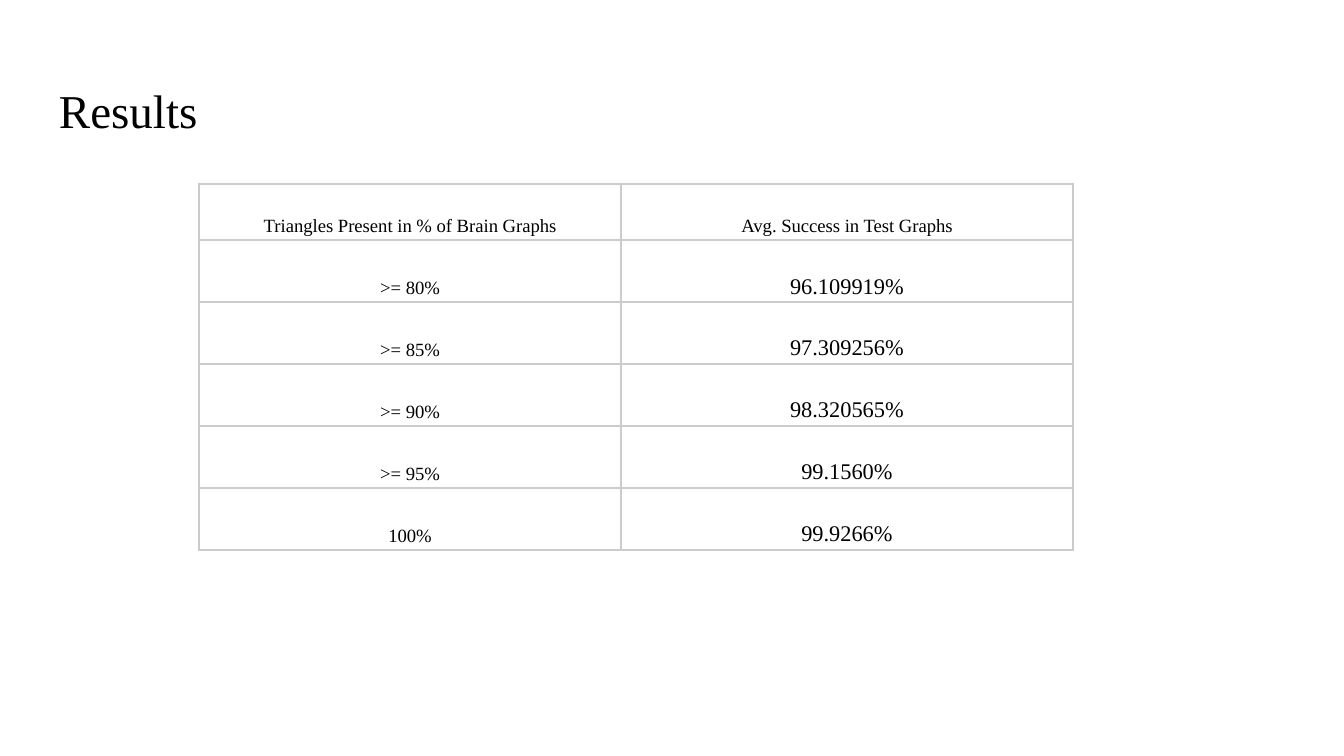
"""Build the results slide: a title and a table of success rates."""
from dataclasses import dataclass
from typing import NamedTuple

from lxml.etree import SubElement
from pptx import Presentation
from pptx.dml.color import RGBColor
from pptx.enum.text import MSO_ANCHOR, MSO_AUTO_SIZE, PP_ALIGN
from pptx.oxml.ns import qn
from pptx.util import Emu, Inches, Pt

SLIDE_WIDTH, SLIDE_HEIGHT = 1344, 756
SCALE = Inches(10) / SLIDE_WIDTH


@dataclass(frozen=True)
class Theme:
    font: str = "Times New Roman"
    text: str = "000000"
    border: str = "CCCCCC"
    border_width: float = 1
    title_size: float = 25.2
    label_size: float = 10
    value_size: float = 12


class Result(NamedTuple):
    threshold: str
    success: str


THEME = Theme()
HEADER = Result("Triangles Present in % of Brain Graphs", "Avg. Success in Test Graphs")
RESULTS = [
    Result(">= 80%", "96.109919%"),
    Result(">= 85%", "97.309256%"),
    Result(">= 90%", "98.320565%"),
    Result(">= 95%", "99.1560%"),
    Result("100%", "99.9266%"),
]
TABLE_LEFT, TABLE_TOP = 199, 184
COLUMN_WIDTHS = (422, 452)
HEADER_HEIGHT, ROW_HEIGHT = 56, 62


def px(length: int) -> Emu:
    return Emu(round(length * SCALE))


def add_text(paragraph, text: str, size: float) -> None:
    run = paragraph.add_run()
    run.text = text
    run.font.name = THEME.font
    run.font.size = Pt(size)
    run.font.color.rgb = RGBColor.from_string(THEME.text)


def add_borders(cell) -> None:
    properties = cell._tc.get_or_add_tcPr()
    for index, side in enumerate(("a:lnL", "a:lnR", "a:lnT", "a:lnB")):
        line = SubElement(properties, qn(side), w=str(Pt(THEME.border_width)))
        fill = SubElement(line, qn("a:solidFill"))
        SubElement(fill, qn("a:srgbClr"), val=THEME.border)
        properties.insert(index, line)


def fill_cell(cell, text: str, size: float) -> None:
    cell.fill.background()
    add_borders(cell)
    cell.margin_left = cell.margin_right = px(4)
    cell.margin_top = cell.margin_bottom = px(3)
    cell.vertical_anchor = MSO_ANCHOR.BOTTOM
    paragraph = cell.text_frame.paragraphs[0]
    paragraph.alignment = PP_ALIGN.CENTER
    add_text(paragraph, text, size)


def add_title(slide, text: str) -> None:
    title = slide.shapes.title
    title.left, title.top, title.width, title.height = map(px, (46, 66, 1252, 85))
    frame = title.text_frame
    frame.word_wrap = True
    frame.auto_size = MSO_AUTO_SIZE.NONE
    frame.vertical_anchor = MSO_ANCHOR.BOTTOM
    frame.margin_left = frame.margin_right = px(13)
    frame.margin_top = frame.margin_bottom = px(13)
    paragraph = frame.paragraphs[0]
    paragraph.alignment = PP_ALIGN.LEFT
    add_text(paragraph, text, THEME.title_size)


def add_results_table(slide, header: Result, results: list[Result]) -> None:
    heights = [HEADER_HEIGHT] + [ROW_HEIGHT] * len(results)
    table = slide.shapes.add_table(
        len(heights), len(COLUMN_WIDTHS), px(TABLE_LEFT), px(TABLE_TOP),
        px(sum(COLUMN_WIDTHS)), px(sum(heights)),
    ).table
    table.first_row = table.horz_banding = False
    for column, width in zip(table.columns, COLUMN_WIDTHS):
        column.width = px(width)
    for row, height, result in zip(table.rows, heights, [header, *results]):
        row.height = px(height)
        value_size = THEME.label_size if result is header else THEME.value_size
        fill_cell(row.cells[0], result.threshold, THEME.label_size)
        fill_cell(row.cells[1], result.success, value_size)


def main() -> None:
    presentation = Presentation()
    presentation.slide_width = px(SLIDE_WIDTH)
    presentation.slide_height = px(SLIDE_HEIGHT)
    slide = presentation.slides.add_slide(presentation.slide_layouts[5])
    add_title(slide, "Results")
    add_results_table(slide, HEADER, RESULTS)
    presentation.save("out.pptx")


if __name__ == "__main__":
    main()
